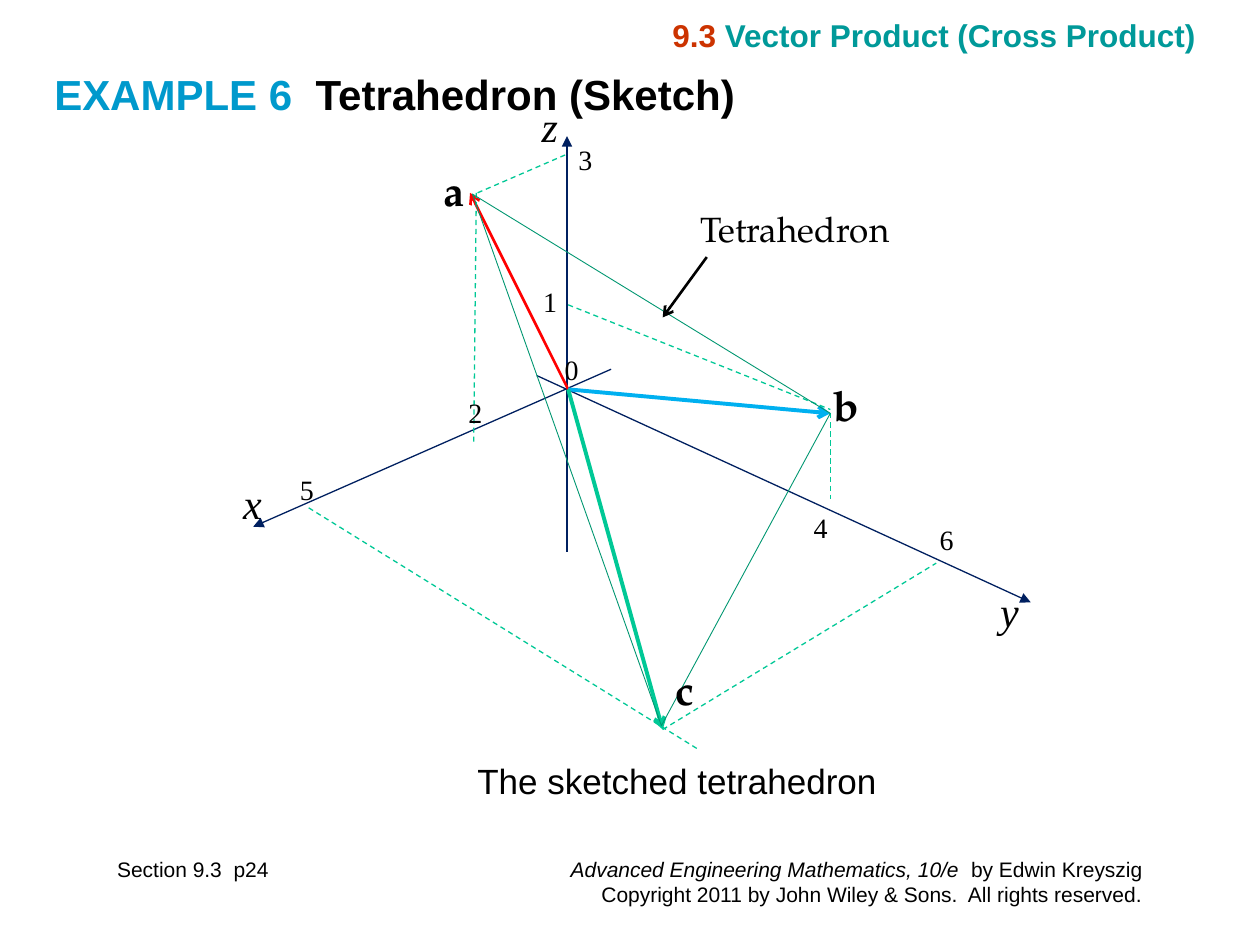
from lxml import etree
from pptx import Presentation
from pptx.dml.color import RGBColor
from pptx.enum import dml, shapes, text
from pptx.oxml import ns
from pptx.util import Pt

SERIF = "Times New Roman"
PALLADIAN = "TeX Gyre Pagella"
NAVY, GREEN, BLACK = "002060", "00C896", "000000"

presentation = Presentation()
presentation.slide_width, presentation.slide_height = Pt(720), Pt(540)
slide = presentation.slides.add_slide(presentation.slide_layouts[5])


def add_text(paragraphs, left, top, width, height, shape=None, size=12, font="Arial",
             color=BLACK, bold=False, italic=False, align="LEFT", wrap=False):
    if shape is None:
        shape = slide.shapes.add_textbox(0, 0, 0, 0)
    shape.left, shape.top, shape.width, shape.height = Pt(left), Pt(top), Pt(width), Pt(height)
    frame = shape.text_frame
    frame.word_wrap = wrap
    frame.auto_size = text.MSO_AUTO_SIZE.SHAPE_TO_FIT_TEXT
    frame.vertical_anchor = text.MSO_ANCHOR.TOP
    if isinstance(paragraphs, str):
        paragraphs = [[(paragraphs, {})]]
    for index, runs in enumerate(paragraphs):
        paragraph = frame.add_paragraph() if index else frame.paragraphs[0]
        paragraph.alignment = text.PP_ALIGN[align]
        for content, changes in runs:
            run = paragraph.add_run()
            run.text = content
            run.font.name, run.font.size = font, Pt(size)
            run.font.bold, run.font.italic = bold, changes.get("italic", italic)
            run.font.color.rgb = RGBColor.from_string(changes.get("color", color))
    return shape


def add_line(start, end, color, width=0.75, tail=None, dashed=False):
    line = slide.shapes.add_connector(shapes.MSO_CONNECTOR.STRAIGHT,
                                      *[Pt(value) for value in start + end])
    line.line.color.rgb = RGBColor.from_string(color)
    line.line.width = Pt(width)
    if dashed:
        line.line.dash_style = dml.MSO_LINE.DASH
    if tail:
        etree.SubElement(line.line._get_or_add_ln(), ns.qn("a:tailEnd"), type=tail)
    etree.SubElement(line._element.spPr, ns.qn("a:effectLst"))


add_text([[("Advanced Engineering Mathematics, 10/e ", {"italic": True}), (" by Edwin Kreyszig", {})],
          [("Copyright 2011 by John Wiley & Sons.  All rights reserved.", {})]],
         252, 486, 408, 36, align="RIGHT", wrap=True)

for start, end in [((349.2, 211), (144.7, 301)),
                   ((306.7, 214.6), (589, 344.2)),
                   ((324, 315.4), (324, 77.8))]:
    add_line(start, end, NAVY, tail="triangle")

origin = (324.7, 222.5)
a_tip, b_tip, c_tip = (268.6, 110.2), (474.5, 236.2), (378.7, 416.9)
for tip, color, width in [(a_tip, "FF0000", 1.5), (b_tip, "00B0F0", 2.25), (c_tip, GREEN, 2.25)]:
    add_line(origin, tip, color, width, tail="arrow")

for start, end in [((324.7, 174.2), (474.5, 234)),
                   (b_tip, (474.5, 285.1)),
                   ((272.9, 110.2), (324.7, 87.8)),
                   ((272.2, 110.2), (270.7, 253.4)),
                   ((176.4, 290.2), (398.2, 427.7)),
                   (c_tip, (535, 321.8))]:
    add_line(start, end, GREEN, dashed=True)

corners = [(Pt(x), Pt(y)) for x, y in [(270, 110.9), (378, 414.7), b_tip]]
builder = slide.shapes.build_freeform(*corners[0])
builder.add_line_segments(corners[1:], close=True)
tetrahedron = builder.convert_to_shape()
tetrahedron.shadow.inherit = False
tetrahedron.fill.background()
tetrahedron.line.color.rgb = RGBColor.from_string("009771")
tetrahedron.line.width = Pt(0.5)

for name, left, top, width in [("x", 131.8, 269.3, 25.2), ("y", 564.5, 331.2, 24.5),
                               ("z", 302.4, 54, 23.8)]:
    add_text(name, left, top, width, 36.7, size=24, font=SERIF, italic=True)

for name, left, top, width in [("a", 246.2, 90.7, 26.6), ("b", 469.4, 213.1, 29.5),
                               ("c", 378.7, 375.8, 25.2)]:
    add_text(name, left, top, width, 36.7, size=24, font=PALLADIAN, bold=True)

for number, left, top in [("2", 260.6, 222.5), ("4", 457.9, 288),
                          ("5", 164.2, 266.4), ("6", 529.9, 295.2)]:
    add_text(number, left, top, 22.3, 26.6, size=16, font=SERIF)

for number, left, top in [("3", 326.9, 77.8), ("1", 306.7, 159.1), ("0", 319, 198)]:
    label = add_text(number, left, top, 11.6, 26.6, size=16, font=SERIF)
    label.text_frame.margin_left, label.text_frame.margin_right = Pt(3.6), 0

add_text("Tetrahedron", 393.1, 115.2, 127.4, 31.7, size=20, font=PALLADIAN)
add_line((403.9, 146.9), (378.7, 181.4), BLACK, 1.5, tail="arrow")
add_text("The sketched tetrahedron", 265.7, 430.6, 244.1, 31.7, size=20)
add_text("Section 9.3  p24", 59.8, 486, 138.2, 21.6, wrap=True)
add_text([[("9.3 ", {"color": "CC3300"}), ("Vector Product (Cross Product)", {})]],
         375.8, 5.8, 314.6, 28.8, size=18, color="009999", bold=True, align="RIGHT")
add_text([[("EXAMPLE 6  ", {"color": "0099CC"}), ("Tetrahedron (Sketch)", {})]],
         23.8, 35.3, 660.2, 36, shape=slide.shapes.title, size=24, bold=True, wrap=True)

presentation.save("out.pptx")
